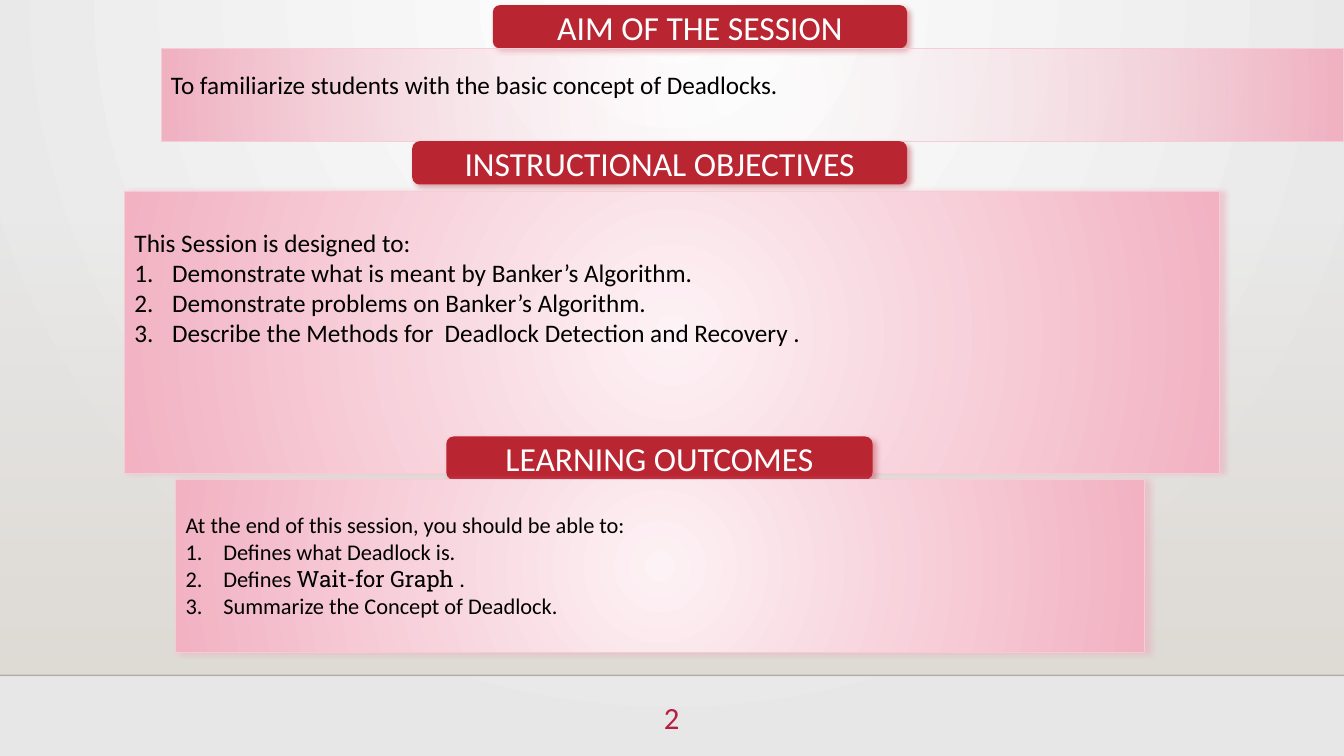
from lxml.etree import SubElement
from pptx import Presentation
from pptx.dml.color import RGBColor
from pptx.enum.shapes import MSO_CONNECTOR, MSO_SHAPE
from pptx.enum.text import MSO_ANCHOR, PP_ALIGN
from pptx.oxml.ns import qn
from pptx.util import Cm, Pt

color = RGBColor.from_string


def grade(root, stops, focus=None):
    """Fill with (place, colour, alpha) stops, round about focus or downwards."""
    grad = root.find(".//" + qn("a:gradFill"))
    grad.clear()
    grad.set("rotWithShape", "1")
    row = SubElement(grad, qn("a:gsLst"))
    for place, tone, alpha in stops:
        stop = SubElement(row, qn("a:gs"), pos=str(place * 1000))
        node = SubElement(stop, qn("a:srgbClr"), val=tone)
        if alpha < 100:
            SubElement(node, qn("a:alpha"), val=str(alpha * 1000))
    if focus:
        ring = SubElement(grad, qn("a:path"), path="circle")
        sides = {side: str(part * 1000) for side, part in zip("ltrb", focus)}
        SubElement(ring, qn("a:fillToRect"), **sides)
    else:
        SubElement(grad, qn("a:lin"), ang="5400000", scaled="0")


def shade(shape, tone, angle):
    """Give the shape a soft outer shadow."""
    effect = shape.element.spPr.find(qn("a:effectLst"))
    outer = SubElement(effect, qn("a:outerShdw"), blurRad=str(Pt(4)),
                       dist=str(Pt(3)), dir=str(angle * 60000), rotWithShape="0")
    node = SubElement(outer, qn("a:srgbClr"), val=tone)
    SubElement(node, qn("a:alpha"), val="40000")


deck = Presentation()
deck.slide_width, deck.slide_height = Cm(33.87), Cm(19.05)
slide = deck.slides.add_slide(deck.slide_layouts[6])
shapes = slide.shapes

# Background
slide.background.fill.gradient()
grade(slide.element, [(0, "FFFFFF", 100), (100, "E7E7E7", 100)], (43, 0, 43, 100))

# Floor shade and its edge
floor = shapes.add_shape(MSO_SHAPE.RECTANGLE, 0, Cm(5.61), Cm(33.87), Cm(11.41))
floor.shadow.inherit = False
floor.fill.gradient()
grade(floor.element, [(0, "DFDBD5", 0), (100, "DFDBD5", 100)])
floor.line.fill.background()

edge = shapes.add_connector(MSO_CONNECTOR.STRAIGHT, 0, Cm(17.02), Cm(33.87), Cm(17.02))
edge.line.width = Pt(1)
edge.line.color.rgb = color("000001")
SubElement(edge.element.spPr.find(".//" + qn("a:srgbClr")), qn("a:alpha"), val="20000")
SubElement(edge.element.spPr, qn("a:effectLst"))

# Page number
page = shapes.add_textbox(Cm(15.8), Cm(17.48), Cm(2.26), Cm(1.4))
page.text_frame.word_wrap = True
page.text_frame.text = "2"
para = page.text_frame.paragraphs[0]
para.alignment = PP_ALIGN.CENTER
font = para.runs[0].font
font.name, font.size, font.color.rgb = "Calibri", Pt(22), color("B71E42")

# Sections: heading and its place, box place, core alpha, text size, lead spacing,
# lines (the part between bars is set in the slab face)
parts = [
    ("AIM OF THE SESSION", (12.42, 0.13, 10.44), (4.06, 1.23, 29.81, 2.34), 0, 18, 1.5,
     ["To familiarize students with the basic concept of Deadlocks."]),
    ("INSTRUCTIONAL OBJECTIVES", (10.39, 3.56, 12.47), (3.14, 4.83, 27.6, 7.1), 100, 18, 2,
     ["This Session is designed to:",
      "Demonstrate what is meant by Banker’s Algorithm.",
      "Demonstrate problems on Banker’s Algorithm.",
      "Describe the Methods for  Deadlock Detection and Recovery ."]),
    ("LEARNING OUTCOMES", (11.25, 11, 10.74), (4.43, 12.09, 24.42, 4.36), 100, 16, 2,
     ["At the end of this session, you should be able to:",
      "Defines what Deadlock is.",
      "Defines |Wait-for Graph |.",
      "Summarize the Concept of Deadlock."]),
]

for title, (left, top, width), area, alpha, size, lead, lines in parts:
    # Heading
    head = shapes.add_shape(MSO_SHAPE.ROUNDED_RECTANGLE, Cm(left), Cm(top), Cm(width), Cm(1.09))
    head.shadow.inherit = False
    shade(head, "BA2532", 45)
    head.fill.solid()
    head.fill.fore_color.rgb = color("BA2532")
    head.line.fill.background()
    head.text_frame.text = title
    head.text_frame.vertical_anchor = MSO_ANCHOR.MIDDLE
    para = head.text_frame.paragraphs[0]
    para.alignment = PP_ALIGN.CENTER
    font = para.runs[0].font
    font.name, font.size, font.color.rgb = "Calibri", Pt(24), color("FFFFFF")

    # Box
    box = shapes.add_shape(MSO_SHAPE.RECTANGLE, *map(Cm, area))
    box.shadow.inherit = False
    if alpha:
        shade(box, "EE99AD", 0)
    box.fill.gradient()
    grade(box.element, [(0, "FDF2F5", alpha), (100, "F2B2C2", 100)], (50, 50, 50, 50))
    box.line.color.rgb = color("F7CCD6")
    box.line.width = Pt(0.75)

    # Lead line and numbered lines
    frame = box.text_frame
    frame.word_wrap = True
    frame.vertical_anchor = MSO_ANCHOR.TOP
    for i, line in enumerate(lines):
        para = frame.add_paragraph() if i else frame.paragraphs[0]
        para.alignment = PP_ALIGN.LEFT
        if i:
            props = para._p.get_or_add_pPr()
            props.set("marL", str(Cm(0.95)))
            props.set("indent", str(-Cm(0.95)))
            SubElement(props, qn("a:buFont"), typeface="+mj-lt")
            SubElement(props, qn("a:buAutoNum"), type="arabicPeriod")
        else:
            para.line_spacing = lead
        for j, piece in enumerate(line.split("|")):
            run = para.add_run()
            run.text = piece
            font = run.font
            font.name = "Roboto Slab" if j == 1 else "Calibri"
            font.size, font.color.rgb = Pt(size), color("000000")

deck.save("out.pptx")
